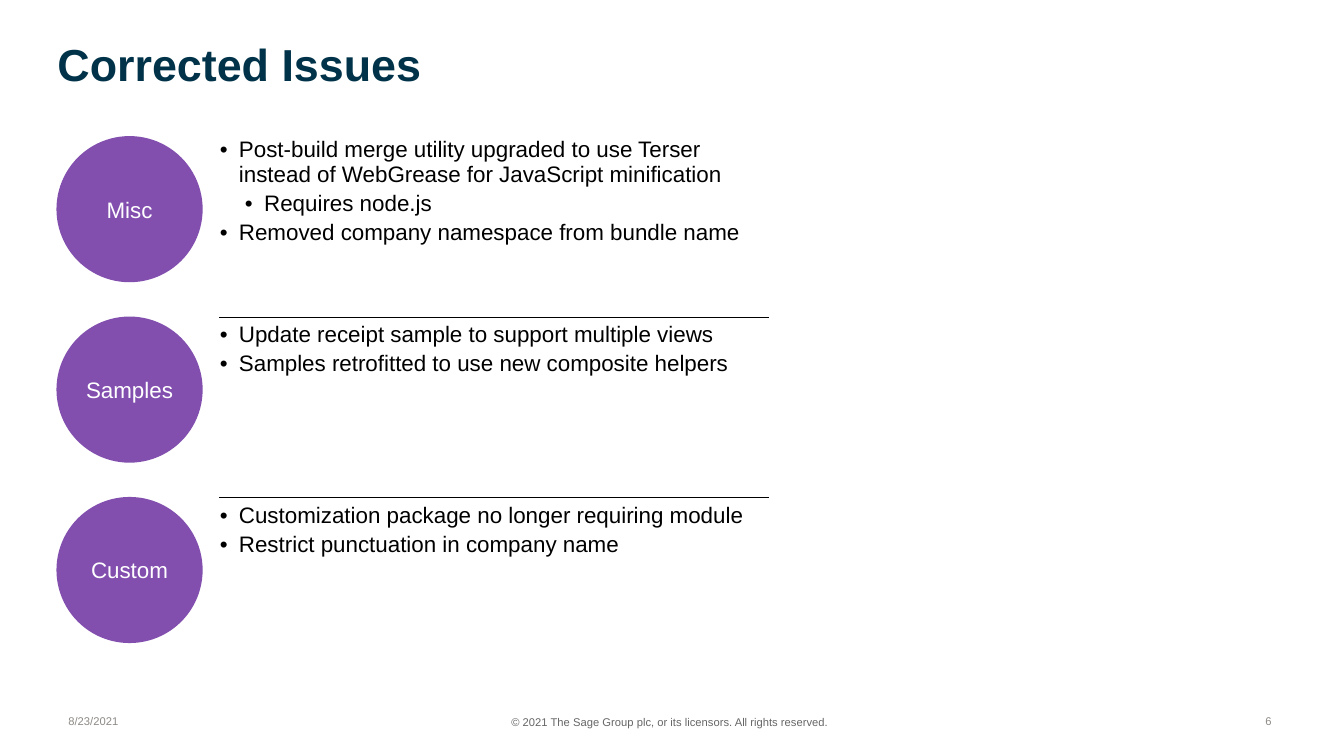
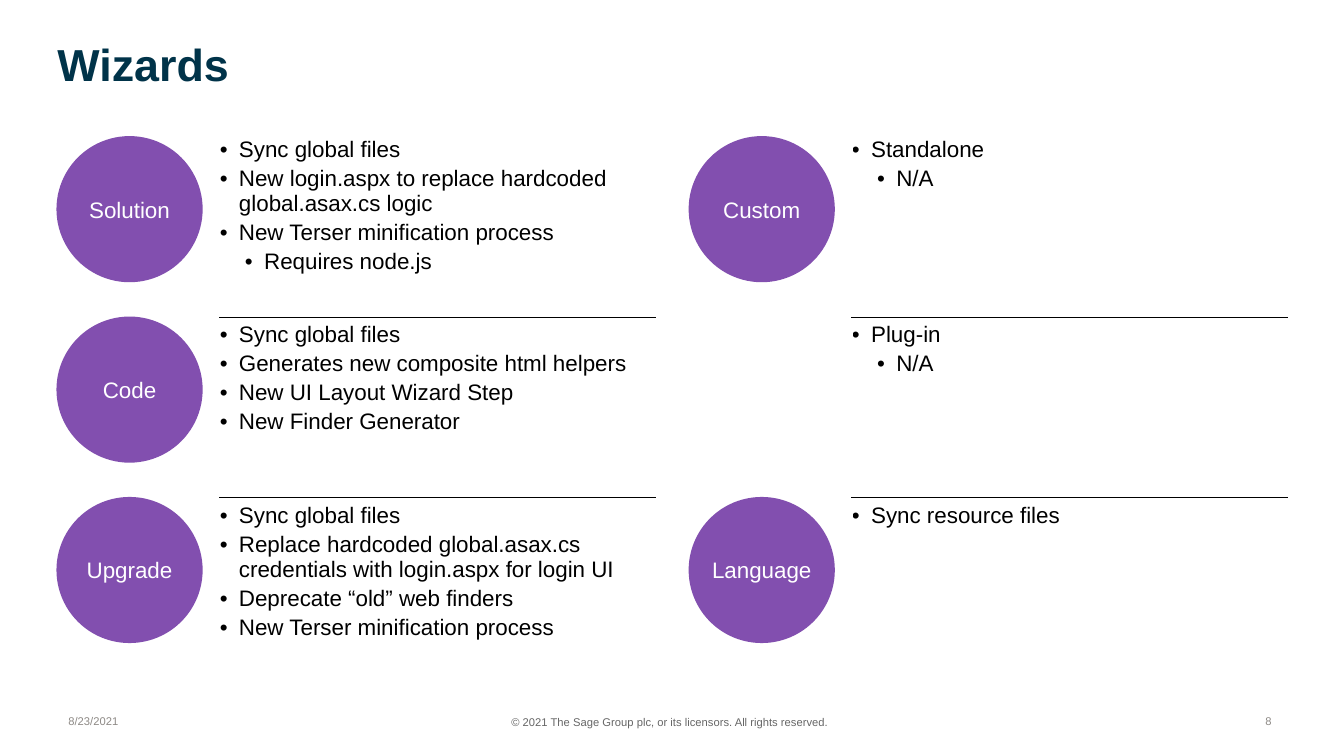
from dataclasses import dataclass

from pptx import Presentation
from pptx.dml.color import RGBColor
from pptx.enum.shapes import MSO_SHAPE
from pptx.enum.text import MSO_ANCHOR, PP_ALIGN
from pptx.oxml.ns import qn
from pptx.util import Inches, Pt
from lxml.etree import SubElement


@dataclass(frozen=True)
class Theme:
    """Colours, font and type sizes shared by the slides."""
    font: str = "Arial"
    title: str = "003349"
    circle: str = "824FAF"
    body: str = "000000"
    light: str = "FFFFFF"
    legal: str = "666666"
    muted: str = "8E8A86"
    title_size: int = 32
    body_size: int = 16
    footer_size: int = 8


@dataclass(frozen=True)
class Sub:
    """A bullet of the second level."""
    text: str


THEME = Theme()
TOPIC_TOP = 1.35
TOPIC_STEP = 1.79
CIRCLE_SIZE = 1.45
TABLE_TOP = 1.31
TABLE_OFFSET = 1.62
ROW_HEIGHTS = (1.84, 1.79, 1.79)
LEFT_COLUMN = 0.56
RIGHT_COLUMN = 6.83
BULLET_HANG = 0.19
BULLET_STEP = 0.25


def write(para, text, size=THEME.body_size, color=THEME.body, bold=False, align=PP_ALIGN.LEFT):
    """Put formatted text into a paragraph."""
    para.alignment = align
    span = para.add_run()
    span.text = text
    span.font.name = THEME.font
    span.font.size = Pt(size)
    span.font.bold = bold
    span.font.color.rgb = RGBColor.from_string(color)


def set_insets(frame, sides, ends):
    """Set the inner margins of a text frame or cell."""
    frame.margin_left = frame.margin_right = Inches(sides)
    frame.margin_top = frame.margin_bottom = Inches(ends)


def add_text_box(page, place, text, anchor=MSO_ANCHOR.TOP, insets=(0.1, 0.05), **style):
    """Add a wrapped text box with one paragraph."""
    box = page.shapes.add_textbox(*map(Inches, place))
    frame = box.text_frame
    frame.word_wrap = True
    frame.vertical_anchor = anchor
    set_insets(frame, *insets)
    write(frame.paragraphs[0], text, **style)


def add_circle(page, left, row, label):
    """Add the labelled circle of one topic."""
    circle = page.shapes.add_shape(
        MSO_SHAPE.OVAL, Inches(left), Inches(TOPIC_TOP + row * TOPIC_STEP),
        Inches(CIRCLE_SIZE), Inches(CIRCLE_SIZE))
    circle.shadow.inherit = False
    circle.fill.solid()
    circle.fill.fore_color.rgb = RGBColor.from_string(THEME.circle)
    circle.line.fill.background()
    frame = circle.text_frame
    frame.vertical_anchor = MSO_ANCHOR.MIDDLE
    set_insets(frame, 0, 0)
    write(frame.paragraphs[0], label, color=THEME.light, align=PP_ALIGN.CENTER)


def add_bullet(para, item):
    """Write one bullet at the level of its item."""
    level = int(isinstance(item, Sub))
    para.level = level
    para.space_after = Pt(3)
    properties = para._p.get_or_add_pPr()
    properties.set("marL", str(Inches(BULLET_HANG + level * BULLET_STEP)))
    properties.set("indent", str(-Inches(BULLET_HANG)))
    SubElement(properties, qn("a:buFont"), typeface=THEME.font)
    SubElement(properties, qn("a:buChar"), char="•")
    write(para, item.text if level else item)


def add_border(cell, side):
    """Rule one side of a cell."""
    line = SubElement(cell._tc.get_or_add_tcPr(), qn(f"a:{side}"), w=str(Pt(1)))
    fill = SubElement(line, qn("a:solidFill"))
    SubElement(fill, qn("a:srgbClr"), val=THEME.body)


def add_bullet_table(page, left, width, rows):
    """Add a one-column table of bullets with rules between the rows."""
    table = page.shapes.add_table(
        len(rows), 1, Inches(left), Inches(TABLE_TOP),
        Inches(width), Inches(sum(ROW_HEIGHTS))).table
    table.first_row = table.horz_banding = False
    table.columns[0].width = Inches(width)
    for index, (items, height) in enumerate(zip(rows, ROW_HEIGHTS)):
        table.rows[index].height = Inches(height)
        cell = table.cell(index, 0)
        set_insets(cell, 0, 0.05)
        if index > 0:
            add_border(cell, "lnT")
        if index < len(rows) - 1:
            add_border(cell, "lnB")
        cell.fill.background()
        frame = cell.text_frame
        for number, item in enumerate(items):
            add_bullet(frame.add_paragraph() if number else frame.paragraphs[0], item)


def add_topics(page, left, width, topics):
    """Add a column of circles with their bullet table."""
    for row, (label, _) in enumerate(topics):
        if label:
            add_circle(page, left, row, label)
    add_bullet_table(page, left + TABLE_OFFSET, width, [items for _, items in topics])


def add_page(deck, title, number):
    """Add a blank page with its title and footers."""
    page = deck.slides.add_slide(deck.slide_layouts[6])
    footer = {"size": THEME.footer_size, "color": THEME.muted, "anchor": MSO_ANCHOR.MIDDLE}
    add_text_box(page, (4.03, 7.05, 5.23, 0.24),
                 "© 2021 The Sage Group plc, or its licensors. All rights reserved.",
                 size=THEME.footer_size, color=THEME.legal, align=PP_ALIGN.CENTER)
    add_text_box(page, (0.57, 0.36, 10.65, 0.65), title, insets=(0, 0),
                 size=THEME.title_size, color=THEME.title, bold=True)
    add_text_box(page, (0.58, 6.95, 3, 0.4), "8/23/2021", **footer)
    add_text_box(page, (9.71, 6.95, 3, 0.4), str(number), align=PP_ALIGN.RIGHT, **footer)
    return page


def add_corrected_issues(deck):
    """Build the page of corrected issues."""
    page = add_page(deck, "Corrected Issues", 6)
    add_topics(page, LEFT_COLUMN, 5.44, [
        ("Misc", [
            "Post-build merge utility upgraded to use Terser instead of WebGrease"
            " for JavaScript minification",
            Sub("Requires node.js"),
            "Removed company namespace from bundle name"]),
        ("Samples", [
            "Update receipt sample to support multiple views",
            "Samples retrofitted to use new composite helpers"]),
        ("Custom", [
            "Customization package no longer requiring module",
            "Restrict punctuation in company name"]),
    ])


def add_wizards(deck):
    """Build the page of wizards."""
    page = add_page(deck, "Wizards", 8)
    add_topics(page, LEFT_COLUMN, 4.32, [
        ("Solution", [
            "Sync global files",
            "New login.aspx to replace hardcoded global.asax.cs logic",
            "New Terser minification process",
            Sub("Requires node.js")]),
        ("Code", [
            "Sync global files",
            "Generates new composite html helpers",
            "New UI Layout Wizard Step",
            "New Finder Generator"]),
        ("Upgrade", [
            "Sync global files",
            "Replace hardcoded global.asax.cs credentials with login.aspx for login UI",
            "Deprecate “old” web finders",
            "New Terser minification process"]),
    ])
    add_topics(page, RIGHT_COLUMN, 4.32, [
        ("Custom", ["Standalone", Sub("N/A")]),
        (None, ["Plug-in", Sub("N/A")]),
        ("Language", ["Sync resource files"]),
    ])


def main():
    """Build and save the deck."""
    deck = Presentation()
    deck.slide_width = Inches(13.33)
    deck.slide_height = Inches(7.5)
    add_corrected_issues(deck)
    add_wizards(deck)
    deck.save("out.pptx")


if __name__ == "__main__":
    main()
